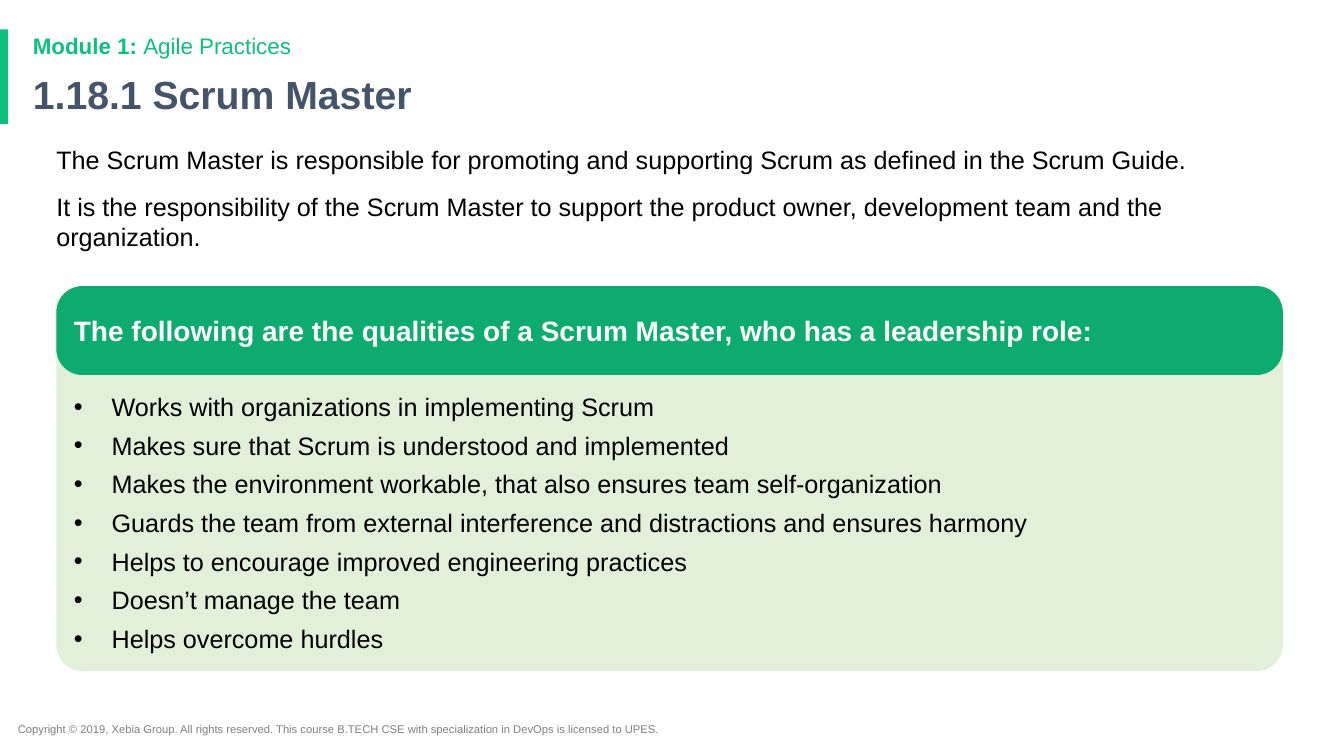
from lxml import etree
from pptx import Presentation
from pptx.dml.color import RGBColor
from pptx.enum.shapes import MSO_SHAPE
from pptx.enum.text import MSO_ANCHOR, MSO_AUTO_SIZE, PP_ALIGN
from pptx.oxml.ns import qn
from pptx.util import Cm, Pt

RECT, ROUNDED = MSO_SHAPE.RECTANGLE, MSO_SHAPE.ROUNDED_RECTANGLE
TOP, MIDDLE, BOTTOM = MSO_ANCHOR.TOP, MSO_ANCHOR.MIDDLE, MSO_ANCHOR.BOTTOM
LEFT = PP_ALIGN.LEFT
NO_FIT = MSO_AUTO_SIZE.NONE

ACCENT = RGBColor(0x0E, 0xC0, 0x7D)
HEADER_GREEN = RGBColor(0x0D, 0xAB, 0x6F)
PALE_GREEN = RGBColor(0xE2, 0xF0, 0xD9)
SLATE = RGBColor(0x44, 0x54, 0x6A)
GRAY = RGBColor(0x7F, 0x7F, 0x7F)
BLACK = RGBColor(0, 0, 0)
WHITE = RGBColor(0xFF, 0xFF, 0xFF)

INTRO = [
    "The Scrum Master is responsible for promoting and supporting Scrum as defined in the Scrum Guide.",
    "It is the responsibility of the Scrum Master to support the product owner, "
    "development team and the organization.",
]
QUALITIES = [
    "Works with organizations in implementing Scrum",
    "Makes sure that Scrum is understood and implemented",
    "Makes the environment workable, that also ensures team self-organization",
    "Guards the team from external interference and distractions and ensures harmony",
    "Helps to encourage improved engineering practices",
    "Doesn’t manage the team",
    "Helps overcome hurdles",
]
COPYRIGHT = ("Copyright © 2019, Xebia Group. All rights reserved. This course B.TECH CSE "
             "with specialization in DevOps is licensed to UPES.")


def apply(target, values):
    for name, value in values.items():
        setattr(target, name, value)


class SlideBuilder:
    font_name = "Arial"
    insets = (0.25, 0.13, 0.25, 0.13)

    def __init__(self, page):
        self.page = page

    def place(self, shape, left, top, width, height):
        apply(shape, {"left": Cm(left), "top": Cm(top),
                      "width": Cm(width), "height": Cm(height)})

    def set_bullet(self, para, indent):
        """Give the paragraph a hanging bullet, or none if indent is zero."""
        properties = para._p.get_or_add_pPr()
        properties.set("marL", str(Cm(indent)))
        properties.set("indent", str(-Cm(indent)))
        if indent:
            etree.SubElement(properties, qn("a:buFont")).set("typeface", self.font_name)
            etree.SubElement(properties, qn("a:buChar")).set("char", "•")
        else:
            etree.SubElement(properties, qn("a:buNone"))

    def fill_text(self, shape, paragraphs, size, color, bold=False, anchor=TOP,
                  insets=insets, indent=0, before=0, after=0, spacing=1.0):
        """Fill a shape with paragraphs, each a list of (text, bold) spans or a string."""
        frame = shape.text_frame
        margins = ("margin_left", "margin_top", "margin_right", "margin_bottom")
        apply(frame, {"word_wrap": True, "auto_size": NO_FIT, "vertical_anchor": anchor})
        apply(frame, {name: Cm(inset) for name, inset in zip(margins, insets)})
        for number, content in enumerate(paragraphs):
            para = frame.add_paragraph() if number else frame.paragraphs[0]
            self.set_bullet(para, indent)
            apply(para, {"alignment": LEFT, "line_spacing": spacing,
                         "space_before": Pt(before if number else 0),
                         "space_after": Pt(after)})
            spans = [(content, bold)] if isinstance(content, str) else content
            for text, span_bold in spans:
                span = para.add_run()
                span.text = text
                apply(span.font, {"name": self.font_name, "size": Pt(size), "bold": span_bold})
                span.font.color.rgb = color

    def placeholder(self, index, area, paragraphs, **style):
        shape = self.page.placeholders[index]
        self.place(shape, *area)
        self.fill_text(shape, paragraphs, **style)

    def label(self, area, paragraphs, **style):
        box = self.page.shapes.add_textbox(*map(Cm, area))
        self.fill_text(box, paragraphs, **style)

    def panel(self, kind, area, fill, radius=None, group=None):
        """Add a borderless filled shape; radius is the corner radius in cm."""
        shapes = (group or self.page).shapes
        shape = shapes.add_shape(kind, *map(Cm, area))
        shape.shadow.inherit = False
        shape.fill.solid()
        shape.fill.fore_color.rgb = fill
        shape.line.fill.background()
        if radius:
            shape.adjustments[0] = radius / min(area[2:])
        return shape

    def card(self, area, header_height, heading, items):
        group = self.page.shapes.add_group_shape()
        left, top, width, _ = area
        radius = 0.66
        body = self.panel(ROUNDED, area, PALE_GREEN, radius, group)
        self.fill_text(body, items, size=18, color=BLACK, anchor=BOTTOM,
                       insets=(0.25, 0.13, 0.25, 0.25), indent=0.95, before=6)
        header = self.panel(ROUNDED, (left, top, width, header_height),
                            HEADER_GREEN, radius, group)
        self.fill_text(header, [heading], size=20, color=WHITE, bold=True, anchor=MIDDLE)


def main():
    deck = Presentation()
    deck.slide_width, deck.slide_height = Cm(33.87), Cm(19.05)
    builder = SlideBuilder(deck.slides.add_slide(deck.slide_layouts[1]))

    builder.panel(RECT, (0, 0.74, 0.2, 2.39), ACCENT)
    builder.label((0.2, 18.08, 18.11, 0.61), [COPYRIGHT], size=8, color=GRAY)
    builder.label((0.58, 0.76, 29.21, 0.84),
                  [[("Module 1: ", True), ("Agile Practices", False)]],
                  size=16, color=ACCENT, spacing=0.9)
    builder.placeholder(0, (0.58, 1.75, 29.21, 1.37), ["1.18.1 Scrum Master"],
                        size=28, color=SLATE, bold=True, anchor=MIDDLE, spacing=0.9)
    builder.placeholder(1, (1.42, 3.63, 31.6, 13.44), INTRO, size=18, color=BLACK,
                        insets=(0, 0, 0.25, 0.13), before=6, after=6)
    builder.card((1.42, 7.21, 30.91, 9.7), 2.24,
                 "The following are the qualities of a Scrum Master, who has a leadership role:",
                 QUALITIES)
    deck.save("out.pptx")


if __name__ == "__main__":
    main()
